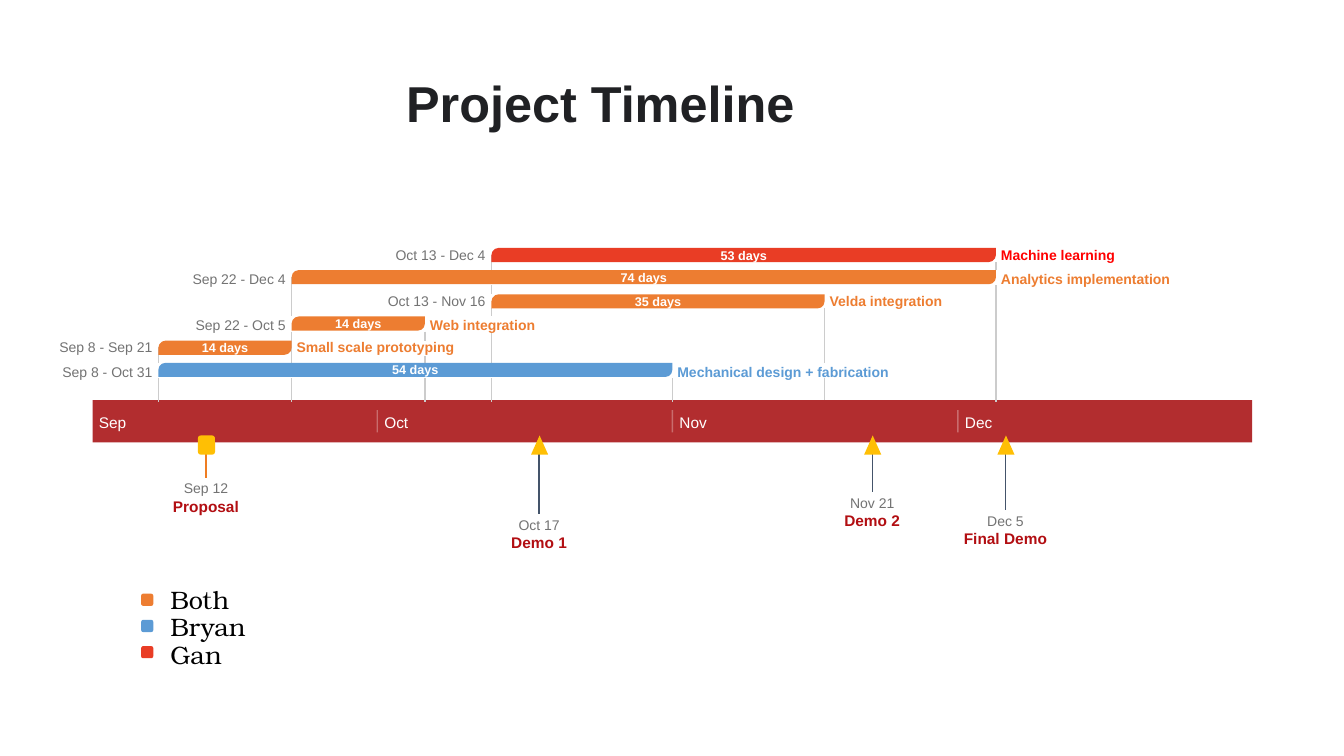
import pptx
import pptx.dml.color
import pptx.enum.shapes
import pptx.enum.text
import pptx.oxml
import pptx.oxml.ns
import pptx.util
from lxml import etree

Inches = pptx.util.Inches
SHAPE = pptx.enum.shapes.MSO_SHAPE
ALIGN = pptx.enum.text.PP_ALIGN
MIDDLE = pptx.enum.text.MSO_ANCHOR.MIDDLE

COLORS = {
    "band": "B22D2F", "white": "FFFFFF", "guide": "CCCCCC", "stem": "44546A",
    "proposal": "EF7D22", "marker": "FFBF04", "milestone": "B20E12", "date": "737373",
    "both": "ED7D31", "bryan": "5C9BD5", "gan": "E93D25", "gan_text": "FF0000",
    "title": "202124", "black": "000000",
}
FORMATS = {
    "title": {"name": "Arial", "size": 36, "bold": True},
    "month": {"name": "Arial", "size": 11, "bold": False},
    "milestone": {"name": "Arial", "size": 11, "bold": True},
    "date": {"name": "Arial", "size": 10, "bold": False},
    "task": {"name": "Arial", "size": 10, "bold": True},
    "days": {"name": "Arial", "size": 9, "bold": True},
    "legend": {"name": "TeX Gyre Bonum", "size": 18, "bold": False},
}
ORIGIN = 0.91
PER_DAY = 0.0944
BAND_TOP, BAND_HEIGHT = 3.97, 0.42
BAR_HEIGHT = 0.14
MONTHS = [("Sep", 0), ("Oct", 30), ("Nov", 61), ("Dec", 91)]
TASKS = [
    ("Machine learning", "Oct 13 - Dec 4", 42, 53, 2.46, 2.44, "gan", "gan_text"),
    ("Analytics implementation", "Sep 22 - Dec 4", 21, 74, 2.68, 2.68, "both", "both"),
    ("Velda integration", "Oct 13 - Nov 16", 42, 35, 2.92, 2.9, "both", "both"),
    ("Web integration", "Sep 22 - Oct 5", 21, 14, 3.14, 3.14, "both", "both"),
    ("Small scale prototyping", "Sep 8 - Sep 21", 7, 14, 3.38, 3.36, "both", "both"),
    ("Mechanical design + fabrication", "Sep 8 - Oct 31", 7, 54, 3.6, 3.6, "bryan", "bryan"),
]
GUIDES = {
    42: [(2.53, 2.68), (2.83, 2.92), (3.06, 3.14), (3.29, 3.6), (3.75, 3.99)],
    95: [(2.6, 2.68), (2.83, 3.99)],
    21: [(2.75, 3.14), (3.29, 3.61), (3.75, 3.99)],
    77: [(3.06, 3.6), (3.75, 3.97)],
    35: [(3.29, 3.38), (3.53, 3.61), (3.75, 3.99)],
    7: [(3.44, 3.6), (3.75, 3.99)],
    61: [(3.75, 3.99)],
}
MILESTONES = [
    ("Final Demo", "Dec 5", 96, 5.08, SHAPE.ISOSCELES_TRIANGLE, "stem"),
    ("Demo 2", "Nov 21", 82, 4.9, SHAPE.ISOSCELES_TRIANGLE, "stem"),
    ("Demo 1", "Oct 17", 47, 5.12, SHAPE.ISOSCELES_TRIANGLE, "stem"),
    ("Proposal", "Sep 12", 12, 4.76, SHAPE.ROUNDED_RECTANGLE, "proposal"),
]
LEGEND = [("Both", "both"), ("Bryan", "bryan"), ("Gan", "gan")]


def rgb(color):
    """Return the named colour."""
    return pptx.dml.color.RGBColor.from_string(COLORS[color])


def day_x(day):
    """Return the horizontal place of a day counted from September 1."""
    return ORIGIN + day * PER_DAY


def write(frame, text, style, color, align):
    """Put one formatted line into a text frame."""
    frame.word_wrap = True
    paragraph = frame.paragraphs[0]
    paragraph.alignment = align
    run = paragraph.add_run()
    run.text = text
    for key, value in FORMATS[style].items():
        setattr(run.font, key, pptx.util.Pt(value) if key == "size" else value)
    run.font.color.rgb = rgb(color)


def clear_margins(frame):
    """Centre a text frame vertically and remove its insets."""
    frame.vertical_anchor = MIDDLE
    for side in ("left", "top", "right", "bottom"):
        setattr(frame, f"margin_{side}", 0)


def add_label(slide, box, text, style, color, align=ALIGN.LEFT):
    """Add a label without insets."""
    label = slide.shapes.add_textbox(*map(Inches, box))
    clear_margins(label.text_frame)
    write(label.text_frame, text, style, color, align)


def add_block(slide, preset, box, color):
    """Add a plain filled shape."""
    block = slide.shapes.add_shape(preset, *map(Inches, box))
    block.shadow.inherit = False
    block.fill.solid()
    block.fill.fore_color.rgb = rgb(color)
    block.line.fill.background()
    return block


def add_vertical(slide, x, top, bottom, color, opacity=100):
    """Add a thin vertical line."""
    line = slide.shapes.add_connector(
        pptx.enum.shapes.MSO_CONNECTOR.STRAIGHT,
        Inches(x), Inches(top), Inches(x), Inches(bottom))
    line.line.width = pptx.util.Pt(1)
    line.line.color.rgb = rgb(color)
    properties = line._element.spPr
    if opacity < 100:
        tint = properties.find(".//" + pptx.oxml.ns.qn("a:srgbClr"))
        etree.SubElement(tint, pptx.oxml.ns.qn("a:alpha")).set("val", str(opacity * 1000))
    etree.SubElement(properties, pptx.oxml.ns.qn("a:effectLst"))


def add_title(slide):
    """Place and format the title."""
    title = slide.shapes.title
    title.left, title.top, title.width, title.height = map(Inches, (0.68, 0.48, 10.55, 1.07))
    clear_margins(title.text_frame)
    write(title.text_frame, "Project Timeline", "title", "title", ALIGN.CENTER)


def add_band(slide):
    """Draw the band of months."""
    add_block(slide, SHAPE.RECTANGLE, (0.92, BAND_TOP, 11.5, BAND_HEIGHT), "band")
    for month, day in MONTHS:
        x = day_x(day)
        if day:
            add_vertical(slide, x, BAND_TOP + 0.1, BAND_TOP + 0.32, "white", 30)
        add_label(slide, (x + 0.07, 4.1, 0.4, 0.18), month, "month", "white")


def add_task(slide, task, dates, start, days, top, label_top, owner, text_color):
    """Draw a task bar with its dates, name and duration."""
    left, width = day_x(start), days * PER_DAY
    bar = add_block(slide, SHAPE.ROUND_2_DIAG_RECTANGLE, (left, top, width, BAR_HEIGHT), owner)
    bar.adjustments[0], bar.adjustments[1] = 1, 0
    add_label(slide, (left - 1.13, label_top, 1.07, 0.17), dates, "date", "date", ALIGN.RIGHT)
    add_label(slide, (left + width + 0.05, label_top, 2.14, 0.17), task, "task", text_color)
    add_label(slide, (left + width / 2 - 0.27, top, 0.54, BAR_HEIGHT),
              f"{days} days", "days", "white", ALIGN.CENTER)


def add_milestone(slide, milestone, date, day, date_top, preset, stem_color):
    """Draw a milestone marker with its stem and texts."""
    x = day_x(day)
    add_vertical(slide, x, 4.42, date_top - 0.02, stem_color)
    add_block(slide, preset, (x - 0.08, 4.32, 0.17, 0.19), "marker")
    add_label(slide, (x - 0.47, date_top + 0.17, 0.94, 0.18),
              milestone, "milestone", "milestone", ALIGN.CENTER)
    add_label(slide, (x - 0.27, date_top, 0.54, 0.17), date, "date", "date", ALIGN.CENTER)


def add_legend(slide):
    """List the owners with their colours."""
    for row, (owner, color) in enumerate(LEGEND):
        add_block(slide, SHAPE.ROUNDED_RECTANGLE, (1.4, 5.89 + 0.26 * row, 0.12, 0.12), color)
        entry = slide.shapes.add_textbox(*map(Inches, (1.59, 5.75 + 0.27 * row, 1.08, 0.4)))
        write(entry.text_frame, owner, "legend", "black", ALIGN.LEFT)


def main():
    """Build the project timeline slide."""
    deck = pptx.Presentation()
    deck.slide_width, deck.slide_height = Inches(13.33), Inches(7.5)
    slide = deck.slides.add_slide(deck.slide_layouts[5])
    add_title(slide)
    add_band(slide)
    for day, segments in GUIDES.items():
        for top, bottom in segments:
            add_vertical(slide, day_x(day), top, bottom, "guide")
    for milestone in MILESTONES:
        add_milestone(slide, *milestone)
    for task in TASKS:
        add_task(slide, *task)
    add_legend(slide)
    deck.save("out.pptx")


if __name__ == "__main__":
    main()
